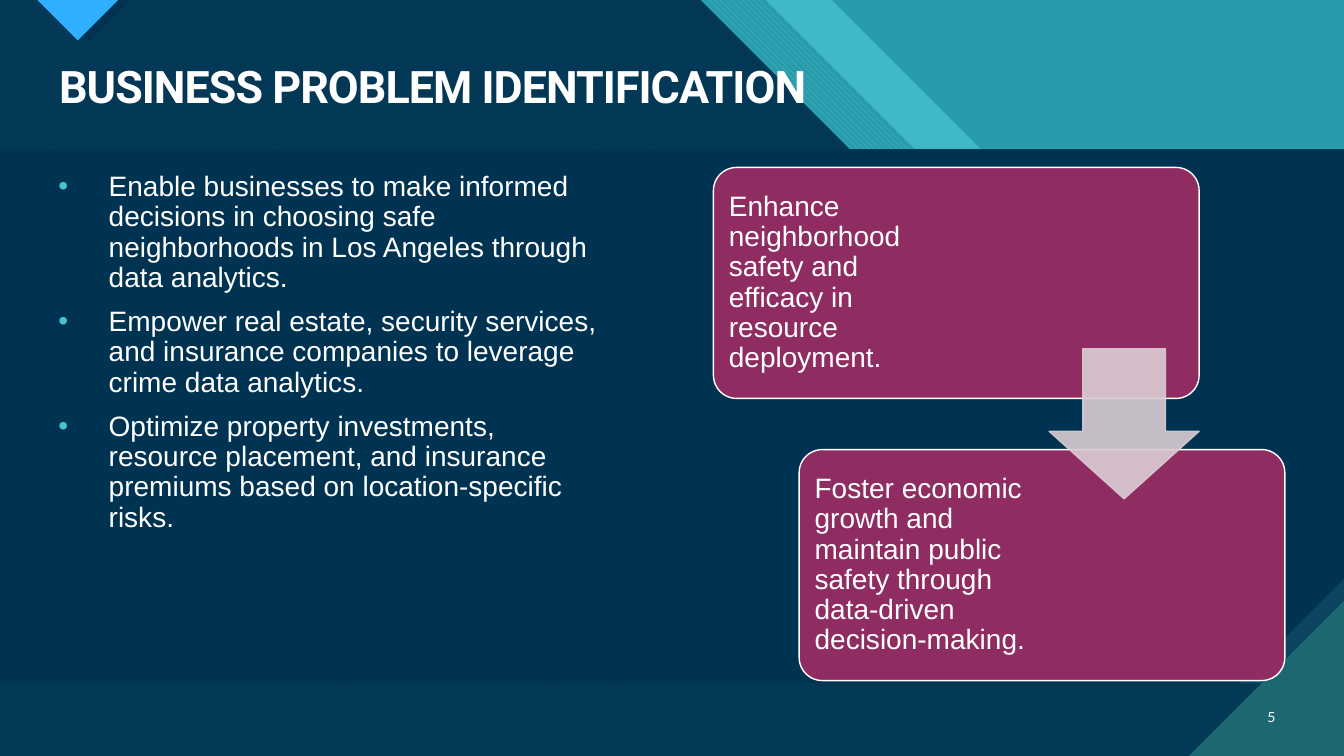
from dataclasses import dataclass

from lxml.etree import SubElement
from pptx import Presentation
from pptx.dml.color import RGBColor
from pptx.enum.dml import MSO_PATTERN as Pattern
from pptx.enum.shapes import MSO_SHAPE as Shape
from pptx.enum.text import MSO_ANCHOR as Anchor, PP_ALIGN as Align
from pptx.oxml.ns import qn
from pptx.util import Cm, Pt


@dataclass(frozen=True)
class Theme:
    navy: str = "003352"
    slate: str = "0C4360"
    teal: str = "299CAB"
    aqua: str = "47C3D3"
    deep_teal: str = "1B6872"
    blue: str = "2FAFFF"
    plum: str = "8F2D63"
    blush: str = "DBCDD3"
    white: str = "FFFFFF"
    title_size: int = 32
    body_size: int = 20
    number_size: int = 10


theme = Theme()
WIDTH, HEIGHT = 33.87, 19.05


def paint(shape, color, alpha=100, pattern=None, back=None, line=None):
    """Set fill, outline and opacity (in percent), and switch the shadow off."""
    shape.shadow.inherit = False
    if pattern is None:
        shape.fill.solid()
    else:
        shape.fill.patterned()
        shape.fill.pattern = pattern
        shape.fill.back_color.rgb = RGBColor.from_string(back)
    shape.fill.fore_color.rgb = RGBColor.from_string(color)
    if line is None:
        shape.line.fill.background()
    else:
        shape.line.color.rgb = RGBColor.from_string(line)
        shape.line.width = Pt(1)
    if alpha < 100:
        for tint in shape._element.spPr.iter(qn("a:srgbClr")):
            SubElement(tint, qn("a:alpha"), val=str(alpha * 1000))


def write_text(shape, *texts, size=theme.body_size, font="Arial", bold=False, tracking=0,
               align=Align.LEFT, anchor=Anchor.TOP, line_spacing=0.9, bullet=None, insets=None):
    """Fill the shape with one paragraph for each text."""
    frame = shape.text_frame
    frame.word_wrap = True
    frame.vertical_anchor = anchor
    if insets:
        (frame.margin_left, frame.margin_top,
         frame.margin_right, frame.margin_bottom) = map(Cm, insets)
    for index, text in enumerate(texts):
        paragraph = frame.add_paragraph() if index else frame.paragraphs[0]
        if bullet:
            properties = paragraph._p.get_or_add_pPr()
            properties.set("marL", str(Cm(1.27)))
            properties.set("indent", str(Cm(-1.27)))
            SubElement(SubElement(properties, qn("a:buClr")), qn("a:srgbClr"), val=bullet)
            SubElement(properties, qn("a:buFont"), typeface="Arial")
            SubElement(properties, qn("a:buChar"), char="•")
        paragraph.alignment = align
        paragraph.line_spacing = line_spacing
        if index:
            paragraph.space_before = Pt(10)
        run = paragraph.add_run()
        run.text = text
        run.font.name = font
        run.font.size = Pt(size)
        run.font.bold = bold
        run.font.color.rgb = RGBColor.from_string(theme.white)
        if tracking:
            run._r.get_or_add_rPr().set("spc", str(round(tracking * 100)))


presentation = Presentation()
presentation.slide_width, presentation.slide_height = Cm(WIDTH), Cm(HEIGHT)
slide = presentation.slides.add_slide(presentation.slide_layouts[6])
shapes = slide.shapes
slide.background.fill.solid()
slide.background.fill.fore_color.rgb = RGBColor.from_string(theme.teal)

# Backdrop: layers that share a 45° edge, each starting further left
edge_drop = 7.54
edge_layers = [
    (20.96, dict(color=theme.aqua, alpha=74)),
    (19.3, dict(color=theme.aqua, pattern=Pattern.WIDE_DOWNWARD_DIAGONAL, back=theme.teal)),
    (17.65, dict(color=theme.aqua, pattern=Pattern.WIDE_UPWARD_DIAGONAL, back=theme.deep_teal)),
    (17.65, dict(color=theme.navy, alpha=90)),
]
outlines = [
    ([(0, 0), (x, 0), (x + edge_drop, edge_drop), (WIDTH, edge_drop), (WIDTH, HEIGHT), (0, HEIGHT)],
     look)
    for x, look in edge_layers
]

# Content panel with a cut corner, corner triangle and top marker
panel_top, panel_bottom, cut, corner = 3.76, 17.22, 2.65, 3.91
outlines += [
    ([(WIDTH - cut, panel_bottom), (WIDTH, panel_bottom - cut), (WIDTH, panel_bottom)],
     dict(color=theme.slate)),
    ([(0, panel_top), (WIDTH, panel_top), (WIDTH, panel_bottom - cut),
      (WIDTH - cut, panel_bottom), (0, panel_bottom)], dict(color=theme.navy)),
    ([(WIDTH - corner, HEIGHT), (WIDTH, HEIGHT), (WIDTH, HEIGHT - corner)],
     dict(color=theme.deep_teal)),
    ([(1.22, 0), (2.27, 1.05), (3.32, 0)], dict(color=theme.navy)),
    ([(0.94, 0), (1.96, 1.02), (2.98, 0)], dict(color=theme.blue)),
]
for points, look in outlines:
    start, *others = [(Cm(x), Cm(y)) for x, y in points]
    builder = shapes.build_freeform(*start)
    builder.add_line_segments(others)
    paint(builder.convert_to_shape(), **look)

title = shapes.add_textbox(Cm(1.24), Cm(1.5), Cm(31.14), Cm(1.5))
write_text(title, "BUSINESS PROBLEM IDENTIFICATION", size=theme.title_size, font="Roboto",
           bold=True, tracking=-0.7)

slide_number = shapes.add_textbox(Cm(31.27), Cm(17.55), Cm(1.12), Cm(1.02))
write_text(slide_number, "5", size=theme.number_size, font="Lato", align=Align.RIGHT,
           anchor=Anchor.MIDDLE, line_spacing=1.0)

goals = shapes.add_textbox(Cm(1.22), Cm(4.22), Cm(14.4), Cm(12.95))
write_text(
    goals,
    "Enable businesses to make informed decisions in choosing safe neighborhoods in Los Angeles "
    "through data analytics.",
    "Empower real estate, security services, and insurance companies to leverage crime data "
    "analytics.",
    "Optimize property investments, resource placement, and insurance premiums based on "
    "location-specific risks.",
    bullet=theme.aqua,
)

# Two staggered cards, linked by a block arrow
outcomes = [
    "Enhance neighborhood safety and efficacy in resource deployment.",
    "Foster economic growth and maintain public safety through data-driven decision-making.",
]
for step, outcome in enumerate(outcomes):
    card = shapes.add_shape(Shape.ROUNDED_RECTANGLE, Cm(17.98 + 2.16 * step),
                            Cm(4.22 + 7.11 * step), Cm(12.24), Cm(5.82))
    card.adjustments[0] = 0.1
    paint(card, theme.plum, line=theme.white)
    write_text(card, outcome, anchor=Anchor.MIDDLE, insets=(0.22, 0.2, 6.15, 0.2))

arrow = shapes.add_shape(Shape.DOWN_ARROW, Cm(26.44), Cm(8.79), Cm(3.78), Cm(3.78))
arrow.adjustments[0], arrow.adjustments[1] = 0.45, 0.55
arrow.adjustments[0], arrow.adjustments[1] = 0.55, 0.45
paint(arrow, theme.blush, alpha=90, line=theme.blush)

presentation.save("out.pptx")
